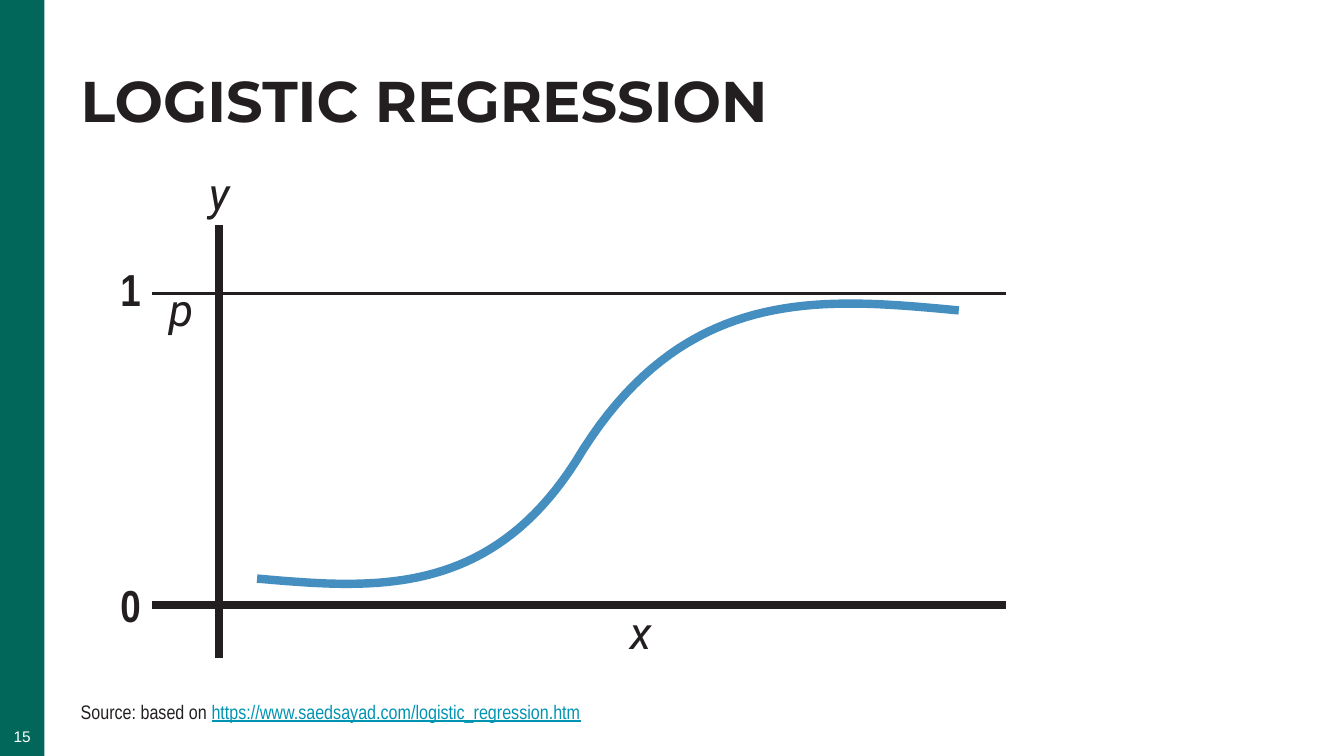
from lxml import etree
from pptx import Presentation
from pptx.dml.color import RGBColor
from pptx.enum.shapes import MSO_CONNECTOR, MSO_SHAPE
from pptx.enum.text import MSO_ANCHOR, PP_ALIGN
from pptx.oxml.ns import qn
from pptx.util import Inches, Pt

LINE = MSO_CONNECTOR.STRAIGHT
RECT = MSO_SHAPE.RECTANGLE
TOP, MIDDLE, BOTTOM = MSO_ANCHOR.TOP, MSO_ANCHOR.MIDDLE, MSO_ANCHOR.BOTTOM
LEFT, CENTER = PP_ALIGN.LEFT, PP_ALIGN.CENTER
INK, GREEN, BLUE, LINK, WHITE = "231F20", "00675A", "458EC0", "0094B3", "FFFFFF"


def color(value):
    return RGBColor.from_string(value)


def add_text(box, text, size, font, ink=INK, align=LEFT, anchor=TOP,
             bold=False, italic=False, spacing=None):
    tb = slide.shapes.add_textbox(*[Inches(v) for v in box])
    tf = tb.text_frame
    tf.word_wrap = True
    tf.vertical_anchor = anchor
    tf.margin_left = tf.margin_right = tf.margin_top = tf.margin_bottom = 0
    tf.text = text
    p = tf.paragraphs[0]
    p.alignment = align
    if spacing:
        p.line_spacing = Pt(spacing)
    r = p.runs[0]
    r.font.size, r.font.name = Pt(size), font
    r.font.bold, r.font.italic = bold, italic
    r.font.color.rgb = color(ink)
    return p


prs = Presentation()
prs.slide_width, prs.slide_height = Inches(13.33), Inches(7.5)
slide = prs.slides.add_slide(prs.slide_layouts[6])

# Side band and slide number
band_w = 0.44
band = slide.shapes.add_shape(RECT, 0, 0, Inches(band_w), prs.slide_height)
band.shadow.inherit = False
band.fill.solid()
band.fill.fore_color.rgb = color(GREEN)
band.line.fill.background()
add_text((0, 7.2, band_w, 0.2), "15", 11, "Arial", WHITE, CENTER, BOTTOM)

# Title and source
margin = 0.8
add_text((margin, 0.66, 12.12, 0.71), "LOGISTIC REGRESSION", 41, "Montserrat",
         bold=True, spacing=48)
p = add_text((margin, 6.84, 9.51, 0.34), "Source: based on ", 14, "Arial Narrow",
             anchor=BOTTOM, spacing=20)
r = p.add_run()
r.text = "https://www.saedsayad.com/logistic_regression.htm"
r.font.size, r.font.name, r.font.underline = Pt(14), "Arial Narrow", True
r.font.color.rgb = color(LINK)

# Axes and the upper limit
x_start, x_end, y_axis = 1.51, 9.98, 2.17
one, zero = 2.91, 6
for x1, y1, x2, y2, width in [
    (y_axis, 6.53, y_axis, 2.23, 6),
    (x_start, one, x_end, one, 2.25),
    (x_start, zero, x_end, zero, 6),
]:
    line = slide.shapes.add_connector(LINE, *[Inches(v) for v in (x1, y1, x2, y2)])
    line.line.color.rgb = color(INK)
    line.line.width = Pt(width)
    etree.SubElement(line._element.spPr, qn("a:effectLst"))

# Logistic curve: two cubic arcs that meet at the midpoint
mid = (5.71, 4.58)
steps = 40
arcs = [
    [(2.55, 5.74), (3.69, 5.84), (4.84, 5.94), mid],
    [mid, (6.76, 2.82), (8.13, 2.95), (9.51, 3.08)],
]
points = []
for arc in arcs:
    for i in range(steps + 1):
        t = i / steps
        weights = ((1 - t) ** 3, 3 * t * (1 - t) ** 2, 3 * t ** 2 * (1 - t), t ** 3)
        points.append([Inches(sum(w * c for w, c in zip(weights, axis)))
                       for axis in zip(*arc)])
builder = slide.shapes.build_freeform(*points[0])
builder.add_line_segments(points[1:], close=False)
curve = builder.convert_to_shape()
curve.shadow.inherit = False
curve.fill.background()
curve.line.color.rgb = color(BLUE)
curve.line.width = Pt(6)

# Axis values and variable names
label_w, label_h = 0.81, 0.64
for text, x, y in [("1", 0.89, 2.54), ("0", 0.89, 5.68)]:
    add_text((x, y, label_w, label_h), text, 32, "Arial Narrow",
             align=CENTER, anchor=MIDDLE, bold=True)
for text, x, y in [("x", 5.95, 5.95), ("y", 1.77, 1.59), ("p", 1.39, 2.74)]:
    add_text((x, y, label_w, label_h), text, 32, "Roboto",
             align=CENTER, anchor=MIDDLE, italic=True)

prs.save("out.pptx")
